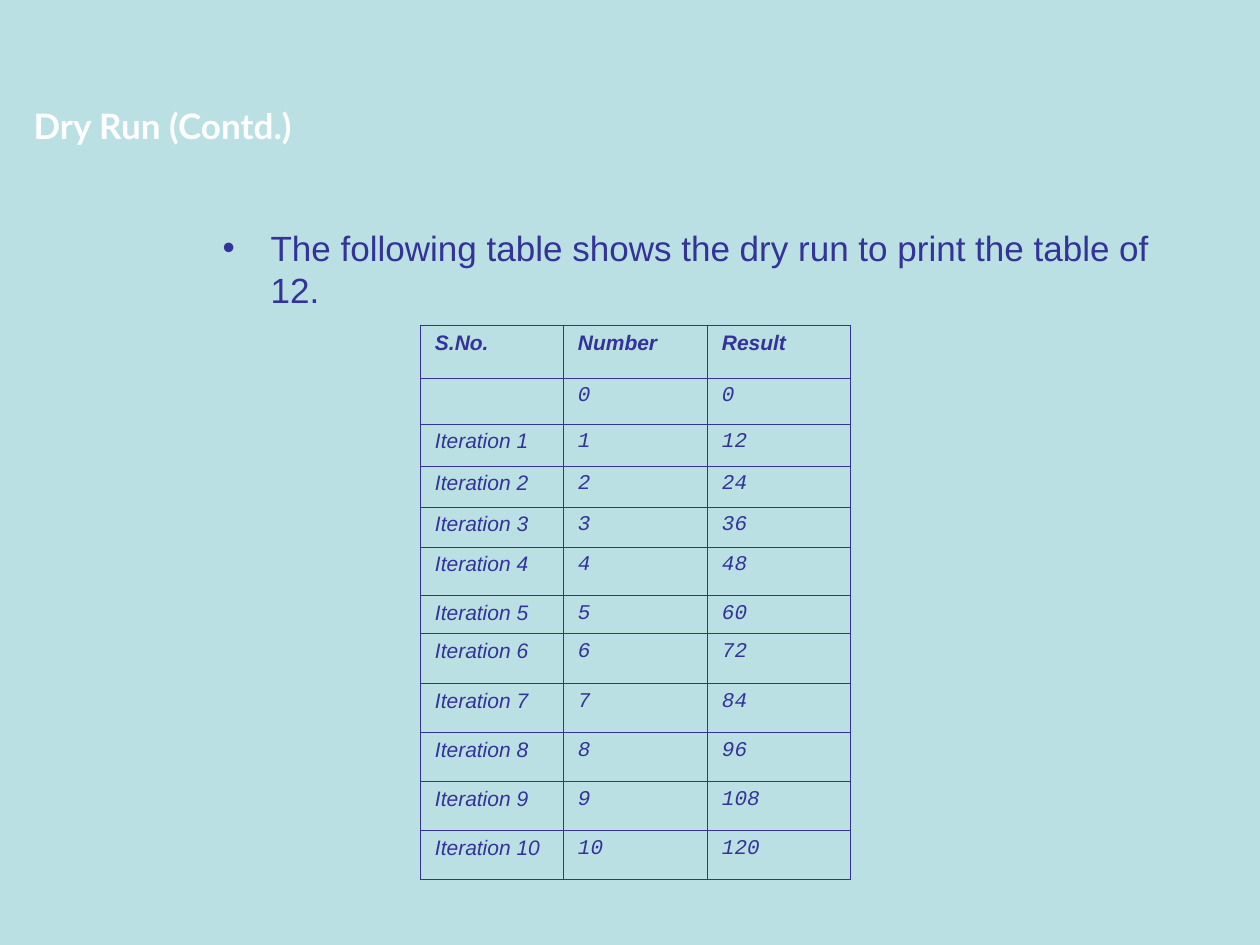
from dataclasses import dataclass

from lxml.etree import SubElement
from pptx import Presentation
from pptx.dml.color import RGBColor
from pptx.enum.text import MSO_ANCHOR, MSO_AUTO_SIZE, PP_ALIGN
from pptx.oxml.ns import qn
from pptx.util import Emu, Pt

EMU_PER_PX = 914400 // 126
INDIGO = "333399"
WHITE = "FFFFFF"
PALE_TEAL = "BBE0E3"
MULTIPLICAND = 12
COLUMN_WIDTHS = (143, 144, 143)
ROW_HEIGHTS = (53, 46, 42, 41, 40, 49, 38, 50, 49, 49, 49, 49)


@dataclass(frozen=True)
class Box:
    left: int
    top: int
    width: int
    height: int

    def emu(self) -> tuple:
        return px(self.left), px(self.top), px(self.width), px(self.height)


@dataclass(frozen=True)
class TextStyle:
    font: str
    size: int
    color: str = INDIGO
    bold: bool = False
    italic: bool = False


TITLE = TextStyle("Lato", 20, WHITE, bold=True)
BODY = TextStyle("Arial", 20)
HEADER = TextStyle("Arial", 12, bold=True, italic=True)
LABEL = TextStyle("Arial", 12, italic=True)
VALUE = TextStyle("Courier New", 12, italic=True)


def px(length: int) -> Emu:
    return Emu(length * EMU_PER_PX)


def rgb(color: str) -> RGBColor:
    return RGBColor.from_string(color)


def add_run(paragraph, text: str, style: TextStyle) -> None:
    run = paragraph.add_run()
    run.text = text
    run.font.name = style.font
    run.font.size = Pt(style.size)
    run.font.bold = style.bold
    run.font.italic = style.italic
    run.font.color.rgb = rgb(style.color)


def fill_placeholder(placeholder, box: Box, text: str, style: TextStyle):
    placeholder.left, placeholder.top, placeholder.width, placeholder.height = box.emu()
    frame = placeholder.text_frame
    frame.word_wrap = True
    frame.auto_size = MSO_AUTO_SIZE.NONE
    frame.vertical_anchor = MSO_ANCHOR.TOP
    paragraph = frame.paragraphs[0]
    paragraph.alignment = PP_ALIGN.LEFT
    add_run(paragraph, text, style)
    return paragraph


def set_bullet(paragraph, indent: int) -> None:
    properties = paragraph._p.get_or_add_pPr()
    properties.set("marL", str(px(indent)))
    properties.set("indent", str(-px(indent)))
    color = SubElement(properties, qn("a:buClr"))
    SubElement(color, qn("a:srgbClr"), val=INDIGO)
    SubElement(properties, qn("a:buFont"), typeface="Arial")
    SubElement(properties, qn("a:buChar"), char="•")


def set_borders(cell) -> None:
    properties = cell._tc.get_or_add_tcPr()
    for position, side in enumerate(("a:lnL", "a:lnR", "a:lnT", "a:lnB")):
        line = SubElement(properties, qn(side), w=str(Pt(0.45)))
        fill = SubElement(line, qn("a:solidFill"))
        SubElement(fill, qn("a:srgbClr"), val=INDIGO)
        properties.insert(position, line)


def fill_cell(cell, text: str, style: TextStyle) -> None:
    cell.margin_left = cell.margin_right = px(10)
    cell.margin_top = cell.margin_bottom = px(6)
    cell.fill.background()
    set_borders(cell)
    paragraph = cell.text_frame.paragraphs[0]
    if text:
        paragraph.space_before = Pt(6)
        paragraph.space_after = Pt(7)
        paragraph._p.get_or_add_pPr().set("marL", str(px(5)))
        add_run(paragraph, text, style)
    else:
        SubElement(paragraph._p, qn("a:endParaRPr"), sz=str(style.size * 100))


def add_dry_run_table(slide, left: int, top: int) -> None:
    rows = [("S.No.", "Number", "Result")]
    for number in range(len(ROW_HEIGHTS) - 1):
        label = f"Iteration {number}" if number else ""
        rows.append((label, str(number), str(number * MULTIPLICAND)))
    box = Box(left, top, sum(COLUMN_WIDTHS), sum(ROW_HEIGHTS))
    table = slide.shapes.add_table(len(rows), len(COLUMN_WIDTHS), *box.emu()).table
    table.first_row = table.horz_banding = False
    for column, width in zip(table.columns, COLUMN_WIDTHS):
        column.width = px(width)
    for row, height, texts in zip(table.rows, ROW_HEIGHTS, rows):
        row.height = px(height)
        styles = (HEADER,) * 3 if texts == rows[0] else (LABEL, VALUE, VALUE)
        for cell, text, style in zip(row.cells, texts, styles):
            fill_cell(cell, text, style)


def main() -> None:
    presentation = Presentation()
    presentation.slide_width = px(1260)
    presentation.slide_height = px(945)
    slide = presentation.slides.add_slide(presentation.slide_layouts[1])
    slide.background.fill.solid()
    slide.background.fill.fore_color.rgb = rgb(PALE_TEAL)

    title, body = slide.placeholders
    bullet = fill_placeholder(
        body, Box(210, 220, 1008, 630),
        "The following table shows the dry run to print the table of 12.", BODY)
    bullet.space_before = Pt(5)
    set_bullet(bullet, 48)
    heading = fill_placeholder(title, Box(21, 98, 945, 55), "Dry Run (Contd.)", TITLE)
    heading.space_before = Pt(12.5)
    add_dry_run_table(slide, 420, 325)
    presentation.save("out.pptx")


if __name__ == "__main__":
    main()
